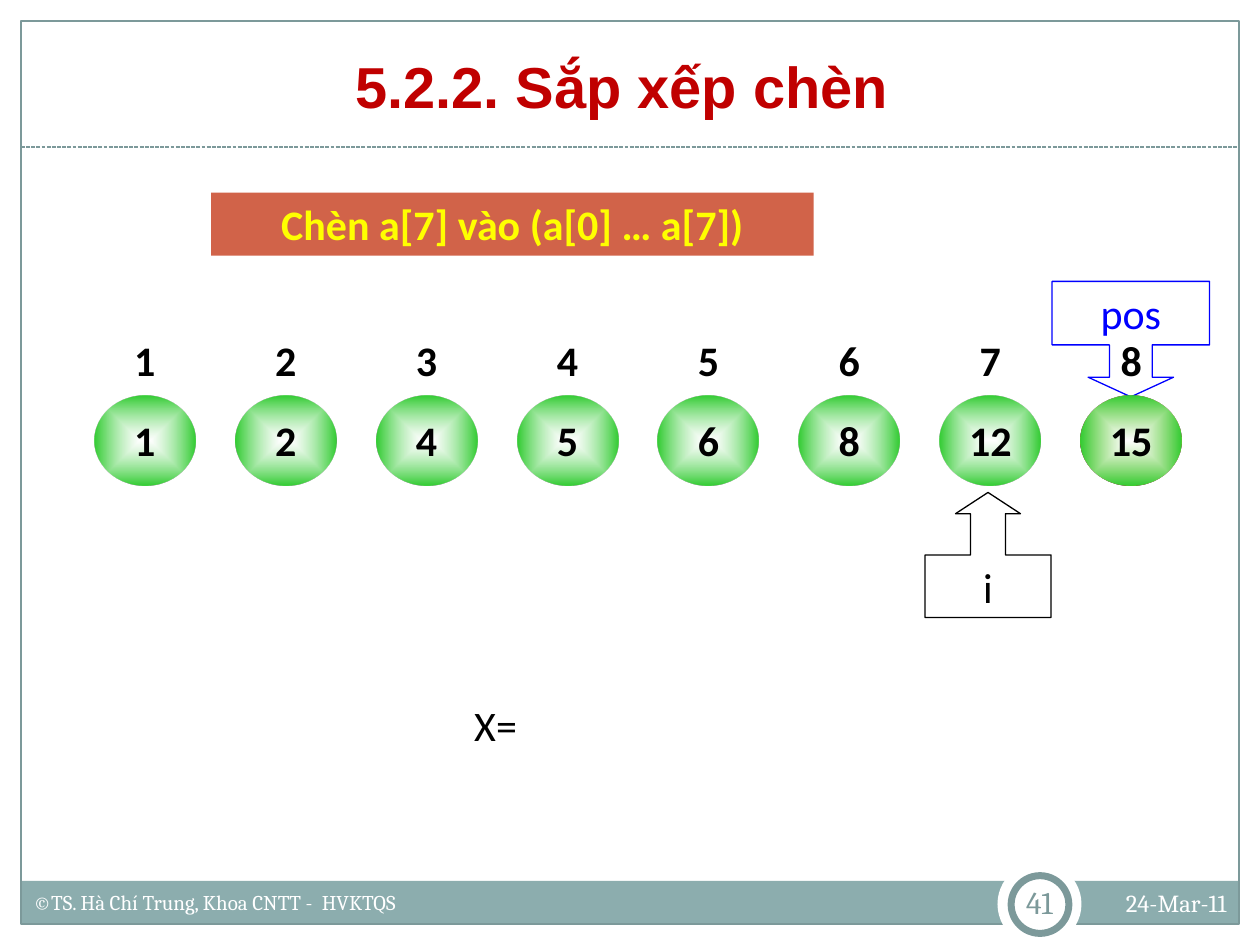
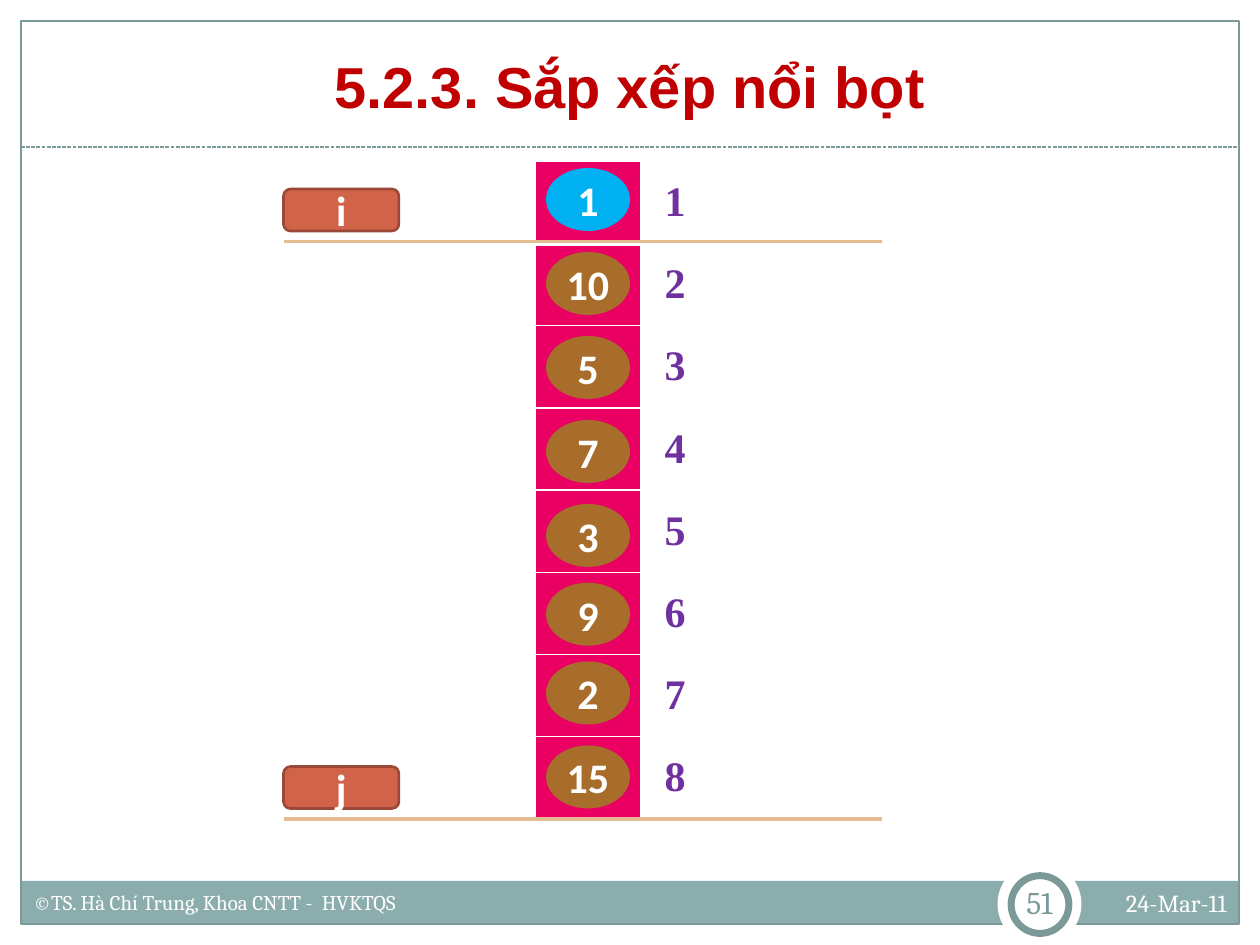
"""Builds two slides on sorting: insertion sort and bubble sort."""
from dataclasses import dataclass

from pptx import Presentation
from pptx.dml.color import RGBColor
from pptx.enum.dml import MSO_LINE
from pptx.enum.shapes import MSO_CONNECTOR, MSO_SHAPE
from pptx.enum.text import MSO_ANCHOR, PP_ALIGN
from pptx.oxml import parse_xml
from pptx.oxml.ns import nsdecls
from pptx.util import Emu, Inches, Pt

COLORS = {
    "white": "FFFFFF", "black": "000000", "band": "8CADAE", "frame": "7C999A",
    "title": "C00000", "accent": "D16349", "accent_edge": "9B4936",
    "yellow": "FFFF00", "blue": "0000FF", "green": "33CC33", "gold": "CCB400",
    "cell": "E90062", "index": "7030A0", "bubble": "A96D2B",
    "sorted": "00B0F0", "rule": "E3BC92",
}
SLIDE_WIDTH, SLIDE_HEIGHT = Inches(10), Inches(7.5)
GRID_COLUMNS, GRID_ROWS = 120, 90


@dataclass(frozen=True)
class Place:
    """A box in grid columns and rows."""
    column: float
    row: float
    width: float
    height: float

    def lengths(self) -> tuple:
        return (across(self.column), down(self.row),
                across(self.width), down(self.height))


@dataclass(frozen=True)
class Style:
    """How a run of text and its paragraph look."""
    font: str
    size: int
    color: str
    bold: bool = False
    align: PP_ALIGN = PP_ALIGN.CENTER
    anchor: MSO_ANCHOR = MSO_ANCHOR.TOP
    inset: float | None = None


@dataclass(frozen=True)
class Line:
    """Colour, width and dash of a line."""
    color: str
    width: float
    dash: MSO_LINE | None = None


@dataclass(frozen=True)
class Callout:
    """An arrow callout that marks an array position."""
    kind: MSO_SHAPE
    place: Place
    adjustments: tuple
    text: str
    color: str


@dataclass(frozen=True)
class Pointer:
    """A named index label standing on a rule."""
    name: str
    rule_row: float


TITLE = Style("Arial", 33, "title", True, anchor=MSO_ANCHOR.BOTTOM)
DATE = Style("Cambria", 14, "white", align=PP_ALIGN.RIGHT)
AUTHOR = Style("Cambria", 12, "white", align=PP_ALIGN.LEFT)
NUMBER = Style("Cambria", 18, "frame", anchor=MSO_ANCHOR.MIDDLE, inset=0.05)
VALUE = Style("Calibri", 24, "black", True)
PLAIN = Style("Calibri", 24, "black")
BANNER = Style("Calibri", 24, "yellow", True)
BUBBLE = Style("Calibri", 24, "white", True, anchor=MSO_ANCHOR.MIDDLE, inset=0)
INDEX = Style("Times New Roman", 24, "index", True)

SORTED_VALUES = (1, 2, 4, 5, 6, 8, 12, 15)
BUBBLE_ROWS = {1: 16, 10: 24, 5: 32, 7: 40, 3: 48, 9: 55.5, 2: 63, 15: 71}
POINTERS = (Pointer("i", 23), Pointer("j", 78))
CALLOUTS = (
    Callout(MSO_SHAPE.UP_ARROW_CALLOUT, Place(88.1, 46.9, 12, 11.9),
            (0.28, 0.26, 0.17, 0.5), "i", "black"),
    Callout(MSO_SHAPE.DOWN_ARROW_CALLOUT, Place(100.2, 26.8, 15, 11),
            (0.37, 0.37, 0.17, 0.55), "pos", "blue"),
)


def across(columns: float) -> Emu:
    return Emu(round(SLIDE_WIDTH * columns / GRID_COLUMNS))


def down(rows: float) -> Emu:
    return Emu(round(SLIDE_HEIGHT * rows / GRID_ROWS))


def rgb(name: str) -> RGBColor:
    return RGBColor.from_string(COLORS[name])


def write_run(text_frame, text: str, style: Style) -> None:
    paragraph = text_frame.paragraphs[0]
    paragraph.alignment = style.align
    run = paragraph.add_run()
    run.text = text
    run.font.name = style.font
    run.font.size = Pt(style.size)
    run.font.bold = style.bold
    run.font.color.rgb = rgb(style.color)


def write_frame(shape, text: str, style: Style) -> None:
    text_frame = shape.text_frame
    text_frame.word_wrap = True
    text_frame.vertical_anchor = style.anchor
    if style.inset is not None:
        text_frame.margin_left = text_frame.margin_right = Inches(style.inset)
        text_frame.margin_top = text_frame.margin_bottom = Inches(style.inset)
    write_run(text_frame, text, style)


def apply_line(line_format, line: Line) -> None:
    line_format.color.rgb = rgb(line.color)
    line_format.width = Pt(line.width)
    if line.dash is not None:
        line_format.dash_style = line.dash


def add_box(slide, kind: MSO_SHAPE, place: Place, fill: str | None = None,
            line: Line | None = None, text: str = "", style: Style = PLAIN):
    shape = slide.shapes.add_shape(kind, *place.lengths())
    shape.shadow.inherit = False
    if fill:
        shape.fill.solid()
        shape.fill.fore_color.rgb = rgb(fill)
    else:
        shape.fill.background()
    if line:
        apply_line(shape.line, line)
    else:
        shape.line.fill.background()
    if text:
        write_frame(shape, text, style)
    return shape


def add_text(slide, place: Place, text: str, style: Style) -> None:
    write_frame(slide.shapes.add_textbox(*place.lengths()), text, style)


def add_rule(slide, first: float, last: float, row: float, line: Line) -> None:
    connector = slide.shapes.add_connector(
        MSO_CONNECTOR.STRAIGHT, across(first), down(row), across(last), down(row))
    apply_line(connector.line, line)
    connector._element.spPr.append(
        parse_xml(f"<a:effectLst {nsdecls('a')}/>"))


def add_ball(slide, place: Place, value: int, color: str) -> None:
    ball = add_box(slide, MSO_SHAPE.OVAL, place, text=str(value), style=VALUE)
    properties = ball._element.spPr
    flat_fill = properties.find(f"{{{properties.nsmap['a']}}}noFill")
    properties.replace(flat_fill, parse_xml(
        f'<a:gradFill {nsdecls("a")} rotWithShape="1"><a:gsLst>'
        f'<a:gs pos="0"><a:srgbClr val="{COLORS["white"]}">'
        '<a:alpha val="60000"/></a:srgbClr></a:gs>'
        f'<a:gs pos="100000"><a:srgbClr val="{COLORS[color]}"/></a:gs></a:gsLst>'
        '<a:path path="shape"><a:fillToRect l="50000" t="50000" r="50000" '
        'b="50000"/></a:path></a:gradFill>'))


def set_borders(cell, top: float, bottom: float) -> None:
    properties = cell._tc.get_or_add_tcPr()
    widths = {"lnL": 1, "lnR": 1, "lnT": top, "lnB": bottom}
    for position, (side, width) in enumerate(widths.items()):
        properties.insert(position, parse_xml(
            f'<a:{side} {nsdecls("a")} w="{Pt(width)}"><a:solidFill>'
            f'<a:srgbClr val="{COLORS["white"]}"/></a:solidFill></a:{side}>'))


def add_slide(presentation, title: str, number: int):
    slide = presentation.slides.add_slide(presentation.slide_layouts[6])
    add_box(slide, MSO_SHAPE.RECTANGLE, Place(2, 83.9, 116, 4.1), "band")
    add_box(slide, MSO_SHAPE.RECTANGLE, Place(2, 2, 116, 86),
            line=Line("frame", 0.75))
    add_rule(slide, 2, 118, 14, Line("frame", 0.75, MSO_LINE.SQUARE_DOT))
    add_box(slide, MSO_SHAPE.OVAL, Place(95, 82.1, 8, 8), "white")
    add_box(slide, MSO_SHAPE.OVAL, Place(96.3, 83.4, 5.5, 5.5), "white",
            Line("frame", 4))
    add_text(slide, Place(4, 3, 112, 9), title, TITLE)
    add_text(slide, Place(101, 84, 17, 4), "24-Mar-11", DATE)
    add_text(slide, Place(2, 84.1, 72, 3.7),
             "©TS. Hà Chí Trung, Khoa CNTT -  HVKTQS", AUTHOR)
    add_text(slide, Place(96, 83, 6, 5.8), str(number), NUMBER)
    return slide


def build_insertion_sort(presentation) -> None:
    slide = add_slide(presentation, "5.2.2. Sắp xếp chèn ", 41)
    ball_places = [Place(9 + 13.42 * step, 37.65, 9.6, 8.55)
                   for step in range(len(SORTED_VALUES))]
    add_ball(slide, ball_places[-1], SORTED_VALUES[-1], "gold")
    for index, place in enumerate(ball_places, start=1):
        label_place = Place(place.column, 30, place.width, place.height)
        add_box(slide, MSO_SHAPE.OVAL, label_place, text=str(index), style=VALUE)
    for callout in CALLOUTS:
        shape = add_box(slide, callout.kind, callout.place,
                        line=Line(callout.color, 0.75), text=callout.text,
                        style=Style("Calibri", 24, callout.color))
        for position, adjustment in enumerate(callout.adjustments):
            shape.adjustments[position] = adjustment
    for value, place in zip(SORTED_VALUES, ball_places):
        add_ball(slide, place, value, "green")
    add_text(slide, Place(42.7, 66, 9, 6), "X=", PLAIN)
    add_box(slide, MSO_SHAPE.RECTANGLE, Place(20.1, 18.35, 57.4, 6), "accent",
            text="Chèn a[7] vào (a[0] … a[7])", style=BANNER)


def add_array_table(slide) -> None:
    count = len(BUBBLE_ROWS)
    table = slide.shapes.add_table(
        count, 2, *Place(51, 15.36, 16.6, 62.64).lengths()).table
    table.first_row = table.horz_banding = False
    table.columns[0].width, table.columns[1].width = across(10), across(6.6)
    for row in range(count):
        value_cell, index_cell = table.cell(row, 0), table.cell(row, 1)
        value_cell.fill.solid()
        value_cell.fill.fore_color.rgb = rgb("cell")
        index_cell.fill.background()
        index_cell.vertical_anchor = MSO_ANCHOR.MIDDLE
        write_run(index_cell.text_frame, str(row + 1), INDEX)
        for cell in (value_cell, index_cell):
            set_borders(cell, 3 if row == 1 else 1, 3 if row == 0 else 1)


def build_bubble_sort(presentation) -> None:
    slide = add_slide(presentation, "5.2.3. Sắp xếp nổi bọt", 51)
    add_array_table(slide)
    for value, row in BUBBLE_ROWS.items():
        add_box(slide, MSO_SHAPE.OVAL, Place(52, row, 8, 6),
                "sorted" if value == 1 else "bubble", text=str(value), style=BUBBLE)
    for pointer in POINTERS:
        add_rule(slide, 27, 84, pointer.rule_row, Line("rule", 2))
        add_box(slide, MSO_SHAPE.ROUNDED_RECTANGLE,
                Place(27, pointer.rule_row - 5, 11, 4), "accent",
                Line("accent_edge", 1.5), pointer.name, BUBBLE)


def main() -> None:
    presentation = Presentation()
    presentation.slide_width, presentation.slide_height = SLIDE_WIDTH, SLIDE_HEIGHT
    build_insertion_sort(presentation)
    build_bubble_sort(presentation)
    presentation.save("out.pptx")


if __name__ == "__main__":
    main()
